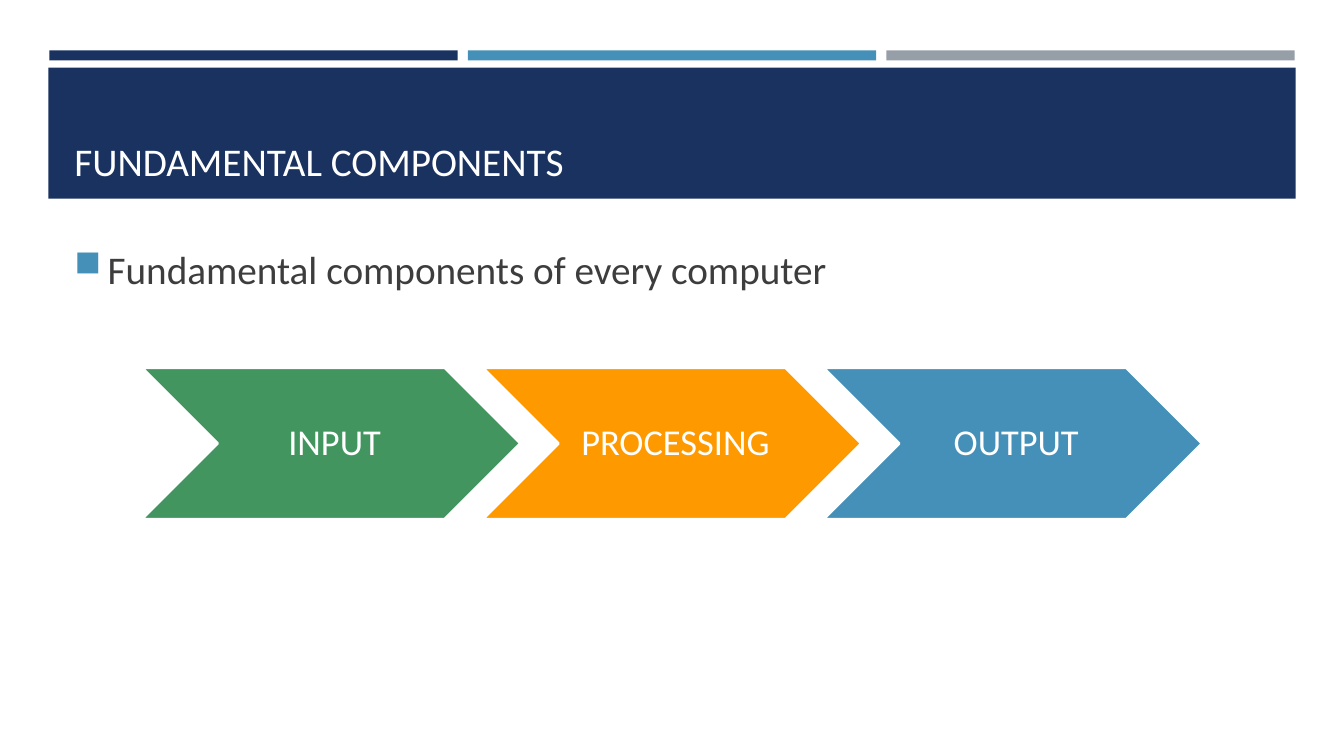
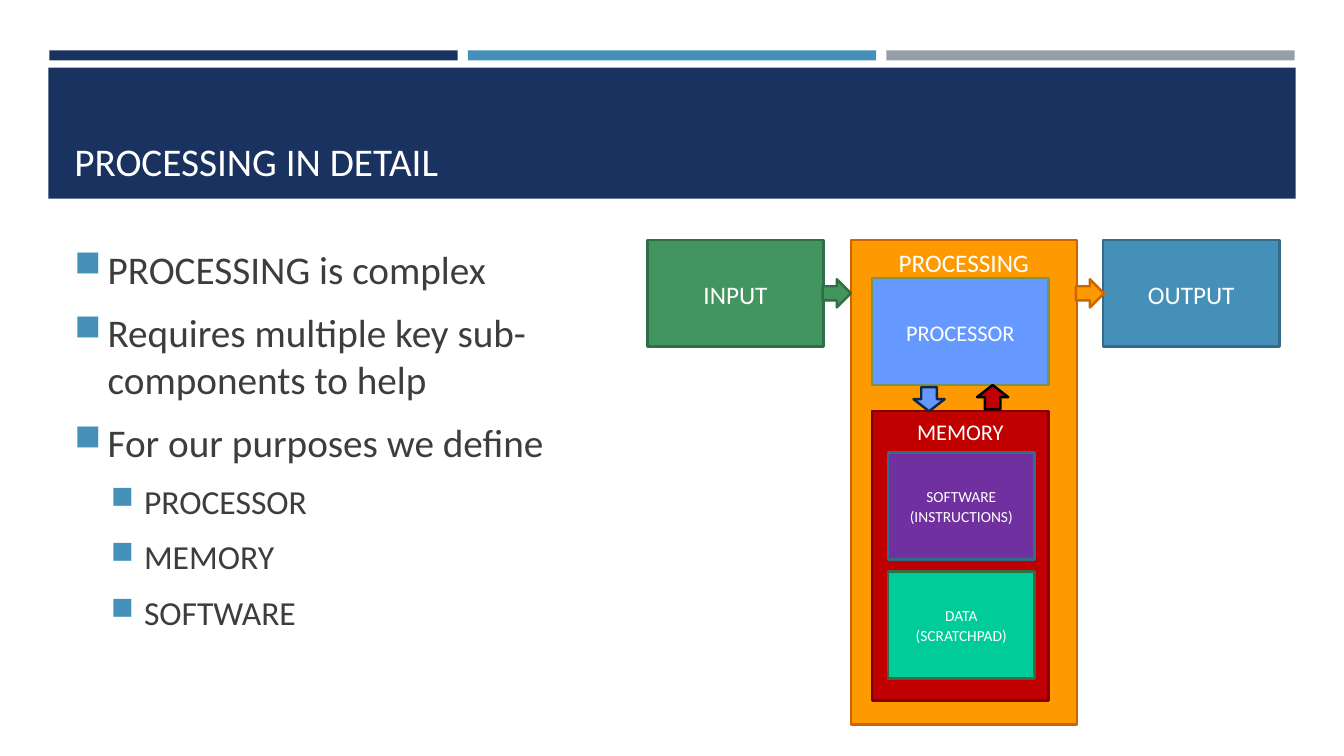
from copy import deepcopy

from lxml import etree
from pptx import Presentation
from pptx.dml.color import RGBColor
from pptx.enum.shapes import MSO_SHAPE
from pptx.enum.text import MSO_ANCHOR, PP_ALIGN
from pptx.oxml.ns import qn
from pptx.util import Inches, Pt

RECTANGLE = MSO_SHAPE.RECTANGLE
CHEVRON = MSO_SHAPE.CHEVRON
DOWN_ARROW = MSO_SHAPE.DOWN_ARROW
RIGHT_ARROW = MSO_SHAPE.RIGHT_ARROW
TOP, MIDDLE, BOTTOM = MSO_ANCHOR.TOP, MSO_ANCHOR.MIDDLE, MSO_ANCHOR.BOTTOM
LEFT, CENTER = PP_ALIGN.LEFT, PP_ALIGN.CENTER

FONT = "Calibri"
NAVY, BLUE, GRAY = "1A3260", "4590B8", "969FA7"
WHITE, INK = "FFFFFF", "3D3D3D"
GREEN, DARK_GREEN = "42955F", "316E46"
ORANGE, DARK_ORANGE = "FF9900", "CC6600"
DARK_BLUE, SKY = "336B88", "6699FF"
RED, DARK_RED = "C00000", "800000"

BANDS = [NAVY, BLUE, GRAY]
BULLET_SIZES = [28, 24]
BULLET_INDENTS = [0.33, 0.69]

COMPONENTS_TITLE = "FUNDAMENTAL COMPONENTS"
COMPONENTS_BULLETS = [(0, "Fundamental components of every computer")]
STAGES = [("INPUT", GREEN), ("PROCESSING", ORANGE), ("OUTPUT", BLUE)]

DETAIL_TITLE = "PROCESSING IN DETAIL"
DETAIL_BULLETS = [
    (0, "PROCESSING is complex"),
    (0, "Requires multiple key sub-components to help"),
    (0, "For our purposes we define"),
    (1, "PROCESSOR"),
    (1, "MEMORY"),
    (1, "SOFTWARE"),
]
BOXES = [
    ("PROCESSING", (8.44, 2.38, 2.24, 4.81), ORANGE, DARK_ORANGE, 18, TOP),
    ("PROCESSOR", (8.65, 2.76, 1.75, 1.06), SKY, "789358", 16, MIDDLE),
    ("MEMORY", (8.65, 4.08, 1.75, 2.87), RED, DARK_RED, 16, TOP),
    ("SOFTWARE\n(INSTRUCTIONS)", (8.81, 4.49, 1.45, 1.06), "7030A0", DARK_BLUE, 11, MIDDLE),
    ("DATA\n(SCRATCHPAD)", (8.81, 5.67, 1.45, 1.06), "00CC99", DARK_GREEN, 11, MIDDLE),
    ("INPUT", (6.42, 2.38, 1.75, 1.06), GREEN, DARK_GREEN, 18, MIDDLE),
    ("OUTPUT", (10.94, 2.38, 1.75, 1.06), BLUE, DARK_BLUE, 18, MIDDLE),
]
ARROWS = [
    (DOWN_ARROW, (9.06, 3.84, 0.31, 0.24), SKY, "142648", 0),
    (DOWN_ARROW, (9.69, 3.82, 0.31, 0.24), RED, "000000", 180),
    (RIGHT_ARROW, (8.16, 2.77, 0.28, 0.28), GREEN, DARK_GREEN, 0),
    (RIGHT_ARROW, (10.67, 2.77, 0.28, 0.28), ORANGE, DARK_ORANGE, 0),
]


def color(value):
    return RGBColor.from_string(value)


def write(paragraph, text, size, fill=WHITE, align=LEFT, line=1.0, before=0, after=0):
    paragraph.text = text
    paragraph.alignment = align
    paragraph.line_spacing = line
    paragraph.space_before = Pt(before)
    paragraph.space_after = Pt(after)
    for run in paragraph.runs:
        run.font.name = FONT
        run.font.size = Pt(size)
        run.font.color.rgb = color(fill)
    for line_break in paragraph._p.findall(qn("a:br")):
        line_break.append(deepcopy(paragraph.runs[0]._r.rPr))


def add_shape(slide, kind, place, fill, line=None, rotation=0):
    shape = slide.shapes.add_shape(kind, *map(Inches, place))
    shape.shadow.inherit = False
    shape.rotation = rotation
    shape.fill.solid()
    shape.fill.fore_color.rgb = color(fill)
    if line:
        shape.line.color.rgb = color(line)
        shape.line.width = Pt(1.75)
    else:
        shape.line.fill.background()
    return shape


def add_frame(slide, place, anchor=TOP):
    frame = slide.shapes.add_textbox(*map(Inches, place)).text_frame
    frame.word_wrap = True
    frame.vertical_anchor = anchor
    return frame


def add_bullet(paragraph, level):
    properties = paragraph._p.get_or_add_pPr()
    properties.set("marL", str(Inches(BULLET_INDENTS[level])))
    properties.set("indent", str(Inches(-0.33)))
    bullet_color = etree.SubElement(properties, qn("a:buClr"))
    etree.SubElement(bullet_color, qn("a:srgbClr"), val=BLUE)
    etree.SubElement(properties, qn("a:buSzPct"), val="92000")
    etree.SubElement(properties, qn("a:buChar"), char="■")
    paragraph.level = level


def add_bullets(slide, bullets, place):
    frame = add_frame(slide, place)
    for index, (level, text) in enumerate(bullets):
        paragraph = frame.add_paragraph() if index else frame.paragraphs[0]
        add_bullet(paragraph, level)
        size = BULLET_SIZES[level]
        write(paragraph, text, size, fill=INK, before=0.2 * size if index else 0, after=6)


def add_slide(presentation, title):
    slide = presentation.slides.add_slide(presentation.slide_layouts[6])
    for index, fill in enumerate(BANDS):
        add_shape(slide, RECTANGLE, (0.49 + 4.15 * index, 0.5, 4.05, 0.1), fill)
    add_shape(slide, RECTANGLE, (0.48, 0.67, 12.37, 1.3), NAVY)
    frame = add_frame(slide, (0.64, 0.77, 12.06, 1.11), anchor=BOTTOM)
    write(frame.paragraphs[0], title, 28)
    return slide


def build_components(presentation):
    slide = add_slide(presentation, COMPONENTS_TITLE)
    add_bullets(slide, COMPONENTS_BULLETS, (0.64, 2.38, 12.06, 1))
    for index, (text, fill) in enumerate(STAGES):
        place = (1.41 + 3.38 * index, 3.65, 3.75, 1.5)
        frame = add_shape(slide, CHEVRON, place, fill, WHITE).text_frame
        frame.margin_left = Inches(0.11)
        frame.margin_right = frame.margin_top = frame.margin_bottom = Inches(0.04)
        frame.vertical_anchor = MIDDLE
        write(frame.paragraphs[0], text, 26, align=CENTER, line=0.9)


def build_detail(presentation):
    slide = add_slide(presentation, DETAIL_TITLE)
    add_bullets(slide, DETAIL_BULLETS, (0.64, 2.38, 5.63, 4.81))
    for text, place, fill, line, size, anchor in BOXES:
        frame = add_shape(slide, RECTANGLE, place, fill, line).text_frame
        frame.vertical_anchor = anchor
        write(frame.paragraphs[0], text, size, align=CENTER, line=1.07, after=8)
    for kind, place, fill, line, rotation in ARROWS:
        add_shape(slide, kind, place, fill, line, rotation)


def main():
    presentation = Presentation()
    presentation.slide_width = Inches(13.33)
    presentation.slide_height = Inches(7.5)
    build_components(presentation)
    build_detail(presentation)
    presentation.save("out.pptx")


if __name__ == "__main__":
    main()
